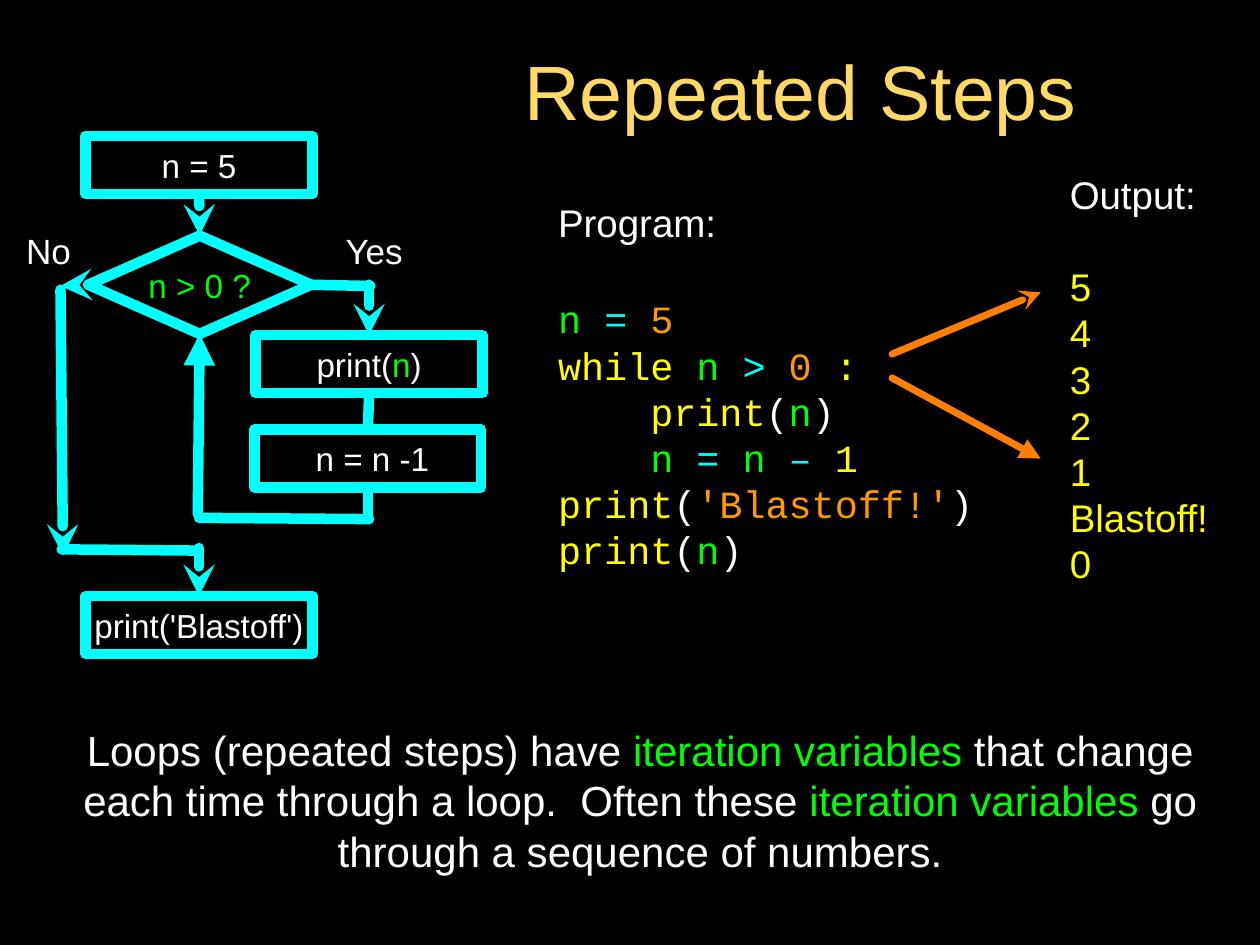
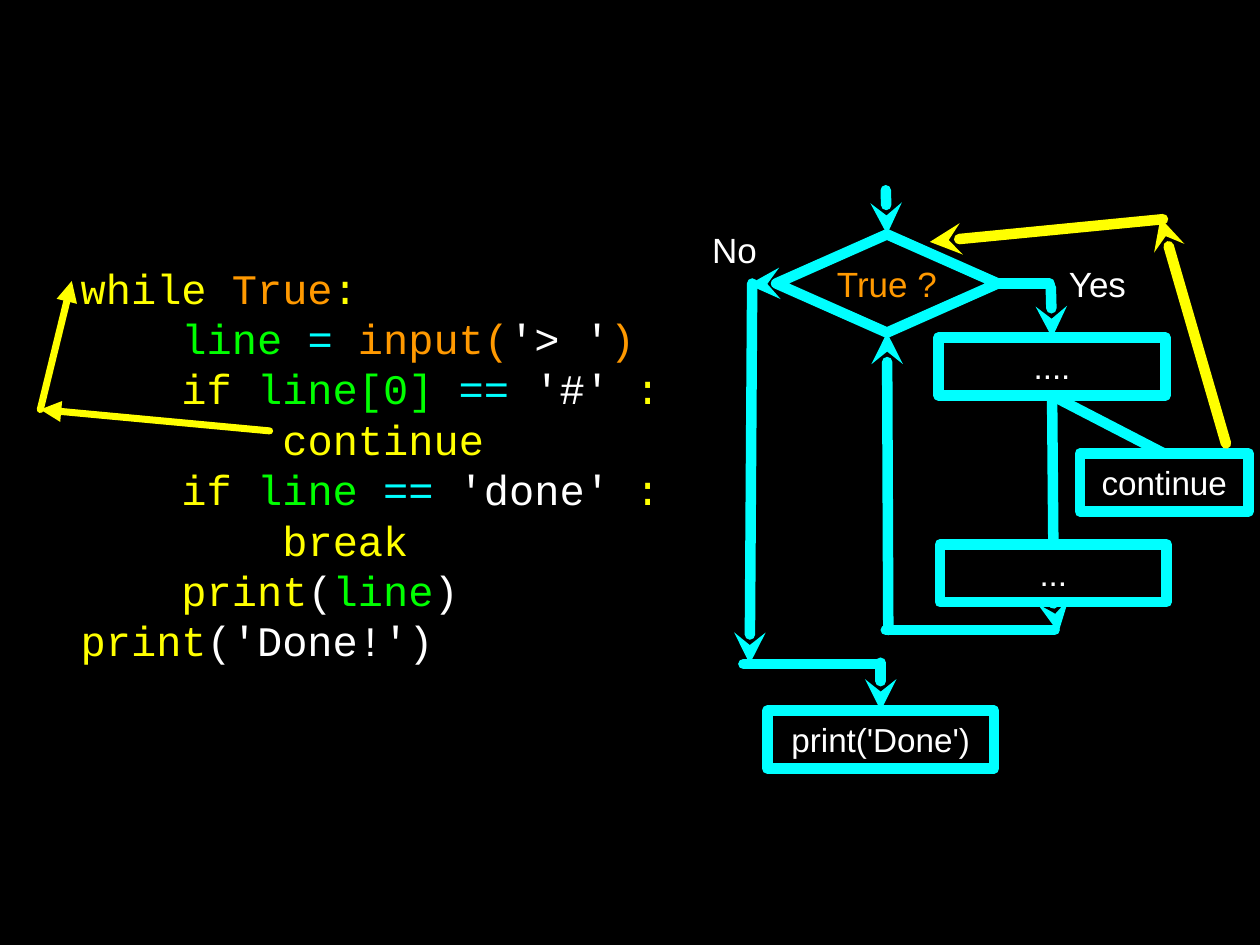
from dataclasses import dataclass

from lxml import etree
from pptx import Presentation
from pptx.dml.color import RGBColor
from pptx.enum.shapes import MSO_CONNECTOR, MSO_SHAPE
from pptx.enum.text import MSO_ANCHOR, PP_ALIGN
from pptx.oxml.ns import qn
from pptx.util import Inches, Pt

RECTANGLE, DIAMOND = MSO_SHAPE.RECTANGLE, MSO_SHAPE.DIAMOND
STRAIGHT = MSO_CONNECTOR.STRAIGHT
LEFT, CENTER = PP_ALIGN.LEFT, PP_ALIGN.CENTER
MIDDLE = MSO_ANCHOR.MIDDLE
SIDES = {"top": 0, "left": 1, "bottom": 2, "right": 3}


@dataclass(frozen=True)
class Theme:
    black: str = "000000"
    white: str = "FFFFFF"
    gold: str = "FFD966"
    cyan: str = "00FFFF"
    green: str = "00FF00"
    yellow: str = "FFFF00"
    orange: str = "FF9900"
    arrow_orange: str = "FF7F00"
    sans: str = "Arial"
    mono: str = "Courier New"
    title: int = 44
    body: int = 24
    code: int = 22
    answer: int = 20
    step: int = 19
    leading: float = 1.2
    flow_line: int = 6
    pointer_line: int = 4


THEME = Theme()
WHITE, CYAN, GREEN = THEME.white, THEME.cyan, THEME.green
YELLOW, ORANGE = THEME.yellow, THEME.orange
FLOW = (CYAN, THEME.flow_line)
JUMP = (YELLOW, THEME.flow_line)
CODE_POINTER = (YELLOW, THEME.pointer_line)
OUTPUT_POINTER = (THEME.arrow_orange, THEME.pointer_line)
STEP_SIZE = (1.8, 0.46)


def white(text):
    return [(text, WHITE)]


COUNTDOWN_CODE = [
    [("n ", GREEN), ("= ", CYAN), ("5", ORANGE)],
    [("while ", YELLOW), ("n ", GREEN), ("> ", CYAN), ("0", ORANGE), (" :", YELLOW)],
    [("    print", YELLOW), ("(", WHITE), ("n", GREEN), (")", WHITE)],
    [("    n ", GREEN), ("= ", CYAN), ("n ", GREEN), ("–", CYAN), (" 1", YELLOW)],
    [("print", YELLOW), ("(", WHITE), ("'Blastoff!'", ORANGE), (")", WHITE)],
    [("print", YELLOW), ("(", WHITE), ("n", GREEN), (")", WHITE)],
]
COUNTDOWN_OUTPUT = ["5", "4", "3", "2", "1", "Blastoff!", "0"]
LOOP_SUMMARY = [
    ("Loops (repeated steps) have ", WHITE),
    ("iteration variables ", GREEN),
    ("that change each time through a loop.  Often these ", WHITE),
    ("iteration variables ", GREEN),
    ("go through a sequence of numbers.", WHITE),
]
CONTINUE_CODE = [
    [("while ", YELLOW), ("True", ORANGE), (":", YELLOW)],
    [("    line ", GREEN), ("= ", CYAN), ("input(", ORANGE), ("'> '", WHITE), (")", ORANGE)],
    [("    if", YELLOW), (" line[0] ", GREEN), ("== ", CYAN), ("'#' ", WHITE), (":", YELLOW)],
    [("        continue", YELLOW)],
    [("    if ", YELLOW), ("line ", GREEN), ("==", CYAN), (" 'done' ", WHITE), (":", YELLOW)],
    [("        break", YELLOW)],
    [("    print", YELLOW), ("(", WHITE), ("line", GREEN), (")", WHITE)],
    [("print", YELLOW), ("('Done!')", WHITE)],
]

COUNTDOWN_FLOW = {
    "decision": ((0.7, 1.87, 1.77, 0.78), [("n > 0 ?", GREEN)], THEME.step),
    "steps": {
        "start": ((0.68, 1.08, *STEP_SIZE), white("n = 5")),
        "print": ((2.03, 2.66, *STEP_SIZE), [("print(", WHITE), ("n", GREEN), (")", WHITE)]),
        "decrement": ((2.02, 3.41, *STEP_SIZE), white(" n = n -1")),
        "finish": ((0.68, 4.73, *STEP_SIZE), white("print('Blastoff')")),
    },
    "answers": [("No", (0.16, 1.8, 0.45, 0.38)), ("Yes", (2.69, 1.8, 0.56, 0.38))],
    "lines": [
        (("start", "bottom"), ("decision", "top"), "stealth", FLOW),
        (("decision", "right"), (2.94, 2.27), None, FLOW),
        ((2.93, 2.26), ("print", "top"), "stealth", FLOW),
        (("print", "bottom"), ("decrement", "top"), None, FLOW),
        (("decrement", "bottom"), (2.92, 4.11), None, FLOW),
        ((2.93, 4.12), (1.58, 4.11), None, FLOW),
        ((1.57, 4.08), ("decision", "bottom"), "triangle", FLOW),
        (("decision", "left"), (0.48, 2.27), "stealth", FLOW),
        ((0.48, 2.3), (0.5, 4.41), "stealth", FLOW),
        ((0.49, 4.36), (1.57, 4.37), None, FLOW),
        ((1.58, 4.35), ("finish", "top"), "stealth", FLOW),
        ((7.08, 2.81), (8.26, 2.32), "stealth", OUTPUT_POINTER),
        ((7.08, 3), (8.26, 3.64), "triangle", OUTPUT_POINTER),
    ],
}
CONTINUE_FLOW = {
    "decision": ((6.16, 1.86, 1.76, 0.78), [("True ?", ORANGE)], THEME.answer),
    "steps": {
        "first": ((7.45, 2.68, *STEP_SIZE), white("....")),
        "continue": ((8.57, 3.6, 1.34, 0.46), white("continue")),
        "last": ((7.46, 4.32, *STEP_SIZE), white("...")),
        "finish": ((6.09, 5.64, *STEP_SIZE), white("print('Done')")),
    },
    "answers": [("No", (5.61, 1.79, 0.44, 0.38)), ("Yes", (8.44, 2.06, 0.54, 0.38))],
    "lines": [
        ((7.03, 1.51), ("decision", "top"), "stealth", FLOW),
        (("decision", "right"), (8.33, 2.25), None, FLOW),
        ((8.34, 2.28), ("first", "top"), "stealth", FLOW),
        (("first", "bottom"), ("continue", "top"), None, FLOW),
        (("first", "bottom"), ("last", "top"), None, FLOW),
        (("last", "bottom"), (8.4, 5.02), "stealth", FLOW),
        ((7.03, 5), (8.37, 5), None, FLOW),
        ((7.05, 5), ("decision", "bottom"), "stealth", FLOW),
        (("decision", "left"), (5.94, 2.26), "stealth", FLOW),
        ((5.97, 2.25), (5.95, 5.27), "stealth", FLOW),
        ((5.9, 5.27), (6.98, 5.27), None, FLOW),
        ((6.99, 5.26), ("finish", "top"), "stealth", FLOW),
        ((9.73, 3.52), (9.21, 1.73), "stealth", JUMP),
        ((9.23, 1.74), (7.38, 1.92), "stealth", JUMP),
        ((0.32, 3.25), (0.57, 2.23), "triangle", CODE_POINTER),
        ((2.14, 3.42), (0.32, 3.25), "triangle", CODE_POINTER),
    ],
}


def color(value):
    return RGBColor.from_string(value)


def write(shape, lines, size, font=THEME.sans, align=CENTER):
    frame = shape.text_frame
    frame.word_wrap = True
    frame.vertical_anchor = MIDDLE
    frame.margin_left = frame.margin_right = frame.margin_top = frame.margin_bottom = 0
    for index, runs in enumerate(lines):
        paragraph = frame.paragraphs[0] if index == 0 else frame.add_paragraph()
        paragraph.alignment = align
        paragraph.line_spacing = Pt(size * THEME.leading)
        paragraph.font.size = Pt(size)
        paragraph.font.name = font
        for text, run_color in runs:
            run = paragraph.add_run()
            run.text = text
            owner = paragraph if len(runs) == 1 else run
            owner.font.color.rgb = color(run_color)
    return frame


def add_text(slide, box, lines, size, font=THEME.sans, align=CENTER):
    shape = slide.shapes.add_textbox(*map(Inches, box))
    return write(shape, lines, size, font, align)


def add_headed_text(slide, box, heading, lines, font, gap):
    frame = add_text(slide, box, [white(heading)] + lines, THEME.code, font, LEFT)
    frame.paragraphs[0].font.name = THEME.sans
    frame.paragraphs[1].space_before = Pt(gap)


def style_line(line, line_color, width, head=None):
    line.color.rgb = color(line_color)
    line.width = Pt(width)
    element = line._get_or_add_ln()
    element.set("cap", "rnd")
    etree.SubElement(element, qn("a:round"))
    if head:
        etree.SubElement(element, qn("a:tailEnd"), type=head)


def add_node(slide, kind, box, runs, size):
    shape = slide.shapes.add_shape(kind, *map(Inches, box))
    shape.shadow.inherit = False
    shape.fill.background()
    style_line(shape.line, *FLOW)
    write(shape, [runs], size)
    return shape


def add_line(slide, nodes, start, end, head, style):
    points = [(0, 0) if point[0] in nodes else point for point in (start, end)]
    connector = slide.shapes.add_connector(
        STRAIGHT, *(Inches(value) for point in points for value in point))
    for point, join in ((start, connector.begin_connect), (end, connector.end_connect)):
        if point[0] in nodes:
            join(nodes[point[0]], SIDES[point[1]])
    style_line(connector.line, *style, head)
    etree.SubElement(connector._element.spPr, qn("a:effectLst"))


def add_flowchart(slide, flow):
    box, runs, size = flow["decision"]
    nodes = {"decision": add_node(slide, DIAMOND, box, runs, size)}
    for name, (box, runs) in flow["steps"].items():
        nodes[name] = add_node(slide, RECTANGLE, box, runs, THEME.step)
    for line in flow["lines"]:
        add_line(slide, nodes, *line)
    for text, box in flow["answers"]:
        add_text(slide, box, [white(text)], THEME.answer)


def add_slide(presentation):
    slide = presentation.slides.add_slide(presentation.slide_layouts[6])
    slide.background.fill.solid()
    slide.background.fill.fore_color.rgb = color(THEME.black)
    return slide


def build_repeated_steps(presentation):
    slide = add_slide(presentation)
    add_text(slide, (3.17, 0.34, 6.37, 0.74), [[("Repeated Steps", THEME.gold)]], THEME.title)
    add_headed_text(slide, (4.43, 1.1, 3.74, 3.92), "Program:", COUNTDOWN_CODE, THEME.mono, 29)
    output = [[(value, YELLOW)] for value in COUNTDOWN_OUTPUT]
    add_headed_text(slide, (8.49, 0.89, 1.35, 4.23), "Output:", output, THEME.sans,
                    THEME.code * THEME.leading)
    add_flowchart(slide, COUNTDOWN_FLOW)
    add_text(slide, (0.49, 5.65, 9.18, 1.4), [LOOP_SUMMARY], THEME.body)


def build_continue_loop(presentation):
    slide = add_slide(presentation)
    add_flowchart(slide, CONTINUE_FLOW)
    add_text(slide, (0.64, 1.68, 5.19, 4), CONTINUE_CODE, THEME.body, THEME.mono, LEFT)


def main():
    presentation = Presentation()
    presentation.slide_width = Inches(10)
    presentation.slide_height = Inches(7.5)
    build_repeated_steps(presentation)
    build_continue_loop(presentation)
    presentation.save("out.pptx")


if __name__ == "__main__":
    main()
